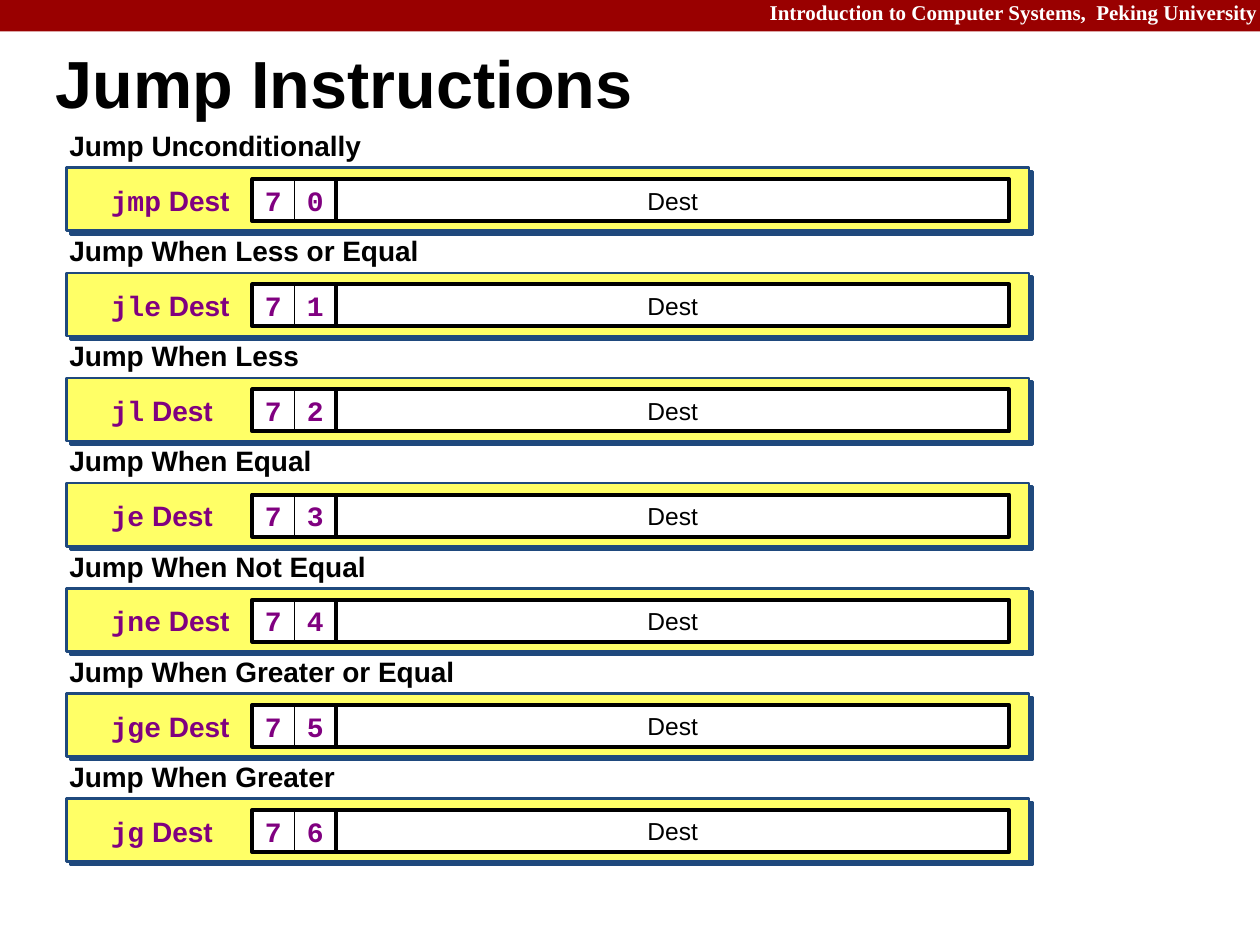
from dataclasses import dataclass
from typing import Optional

from lxml import etree
from pptx import Presentation
from pptx.dml.color import RGBColor
from pptx.enum.shapes import MSO_SHAPE
from pptx.enum.text import MSO_ANCHOR, MSO_AUTO_SIZE, PP_ALIGN
from pptx.oxml.ns import qn
from pptx.util import Inches, Pt

RECT = MSO_SHAPE.RECTANGLE
MIDDLE, TOP = MSO_ANCHOR.MIDDLE, MSO_ANCHOR.TOP
LEFT, CENTER, RIGHT = PP_ALIGN.LEFT, PP_ALIGN.CENTER, PP_ALIGN.RIGHT

BLACK = RGBColor(0x00, 0x00, 0x00)
WHITE = RGBColor(0xFF, 0xFF, 0xFF)
CRIMSON = RGBColor(0x99, 0x00, 0x00)
YELLOW = RGBColor(0xFF, 0xFF, 0x66)
NAVY = RGBColor(0x1F, 0x49, 0x7D)
PURPLE = RGBColor(0x80, 0x00, 0x80)

SANS, MONO, SERIF = "Arial", "Courier New", "Times New Roman"

FIRST_TOP = 1.0    # top of the first heading
ROW_PITCH = 5 / 6  # heading to heading
CELL = 1 / 3       # side of a code cell
CODE_LEFT = 2.0


@dataclass
class Jump:
    heading: str
    mnemonic: str
    function: int


@dataclass
class Style:
    font: str
    size: float
    color: RGBColor
    bold: bool = True


JUMPS = [
    Jump("Jump Unconditionally", "jmp", 0),
    Jump("Jump When Less or Equal", "jle", 1),
    Jump("Jump When Less", "jl", 2),
    Jump("Jump When Equal", "je", 3),
    Jump("Jump When Not Equal", "jne", 4),
    Jump("Jump When Greater or Equal", "jge", 5),
    Jump("Jump When Greater", "jg", 6),
]

HEADER = Style(SERIF, 12, WHITE)
TITLE = Style(SANS, 38, BLACK)
HEADING = Style(SANS, 16, BLACK)
CODE = Style(MONO, 16, PURPLE)
DEST = Style(SANS, 14, BLACK, False)


def write(sp, text: str, style: Style, align=LEFT, anchor=MIDDLE,
          spacing: float = 1.0, inset: Optional[float] = None,
          wrap: bool = False):
    """Fill a shape with one formatted paragraph and return it."""
    tf = sp.text_frame
    tf.word_wrap = wrap
    tf.auto_size = MSO_AUTO_SIZE.NONE
    tf.vertical_anchor = anchor
    if inset is not None:
        tf.margin_left = tf.margin_right = Inches(inset)
        tf.margin_top = tf.margin_bottom = Inches(inset)
    p = tf.paragraphs[0]
    p.add_run().text = text
    p.alignment = align
    p.line_spacing = spacing
    p.font.name, p.font.size = style.font, Pt(style.size)
    p.font.bold, p.font.color.rgb = style.bold, style.color
    return p


def add_rect(shapes, x: float, y: float, w: float, h: float,
             fill: Optional[RGBColor], line: Optional[RGBColor] = None,
             weight: float = 1.0):
    sp = shapes.add_shape(RECT, Inches(x), Inches(y), Inches(w), Inches(h))
    sp.shadow.inherit = False
    if fill is None:
        sp.fill.background()
    else:
        sp.fill.solid()
        sp.fill.fore_color.rgb = fill
    if line is None:
        sp.line.fill.background()
    else:
        sp.line.color.rgb = line
        sp.line.width = Pt(weight)
    return sp


def add_text(shapes, x: float, y: float, w: float, h: float):
    return shapes.add_textbox(Inches(x), Inches(y), Inches(w), Inches(h))


def add_hard_shadow(sp, color: RGBColor) -> None:
    effects = sp._element.spPr.find(qn("a:effectLst"))
    shadow = etree.SubElement(effects, qn("a:outerShdw"), dist=str(Pt(2.8)),
                              dir="2700000", algn="ctr", rotWithShape="0")
    etree.SubElement(shadow, qn("a:srgbClr"), val=str(color))


def add_jump(shapes, jump: Jump, top: float) -> None:
    # Yellow panel and assembly form
    panel = add_rect(shapes, 0.53, top + 0.33, 7.63, 0.5, YELLOW, NAVY, 1.5)
    add_hard_shadow(panel, NAVY)
    y = top + 0.42
    p = write(add_text(shapes, 0.78, y, 1.22, CELL), jump.mnemonic, CODE)
    r = p.add_run()
    r.text = " Dest"
    r.font.name = SANS

    # Code and function digits inside a heavy frame
    group = shapes.add_group_shape()
    for i, digit in enumerate((7, jump.function)):
        cell = add_rect(group.shapes, CODE_LEFT + i * CELL, y, CELL, CELL,
                        WHITE, BLACK, 0.5)
        write(cell, str(digit), CODE, CENTER)
    add_rect(group.shapes, CODE_LEFT, y, 2 * CELL, CELL, None, BLACK, 2.25)

    # Heading and destination field
    write(add_text(shapes, 0.5, top, 3.16, 0.34), jump.heading, HEADING,
          anchor=TOP, spacing=0.9, inset=0.05)
    dest = add_rect(shapes, CODE_LEFT + 2 * CELL, y, 16 * CELL, CELL,
                    WHITE, BLACK, 2.25)
    write(dest, "Dest", DEST, CENTER)


def main() -> None:
    prs = Presentation()
    prs.slide_width, prs.slide_height = Inches(9.99), Inches(7.49)
    slide = prs.slides.add_slide(prs.slide_layouts[5])
    shapes = slide.shapes

    # Header band
    add_rect(shapes, 0, 0, 9.99, 0.25, CRIMSON)
    write(add_text(shapes, 6, -0.03, 4.07, 0.28),
          "Introduction to Computer Systems,  Peking University", HEADER,
          RIGHT, TOP, spacing=0.9, wrap=True)

    # Title
    title = shapes.title
    title.left, title.top = Inches(0.44), Inches(0.27)
    title.width, title.height = Inches(9.52), Inches(0.85)
    write(title, "Jump Instructions", TITLE, spacing=0.87, inset=0, wrap=True)

    # Instruction rows
    for i, jump in enumerate(JUMPS):
        add_jump(shapes, jump, FIRST_TOP + i * ROW_PITCH)

    prs.save("out.pptx")


if __name__ == "__main__":
    main()
